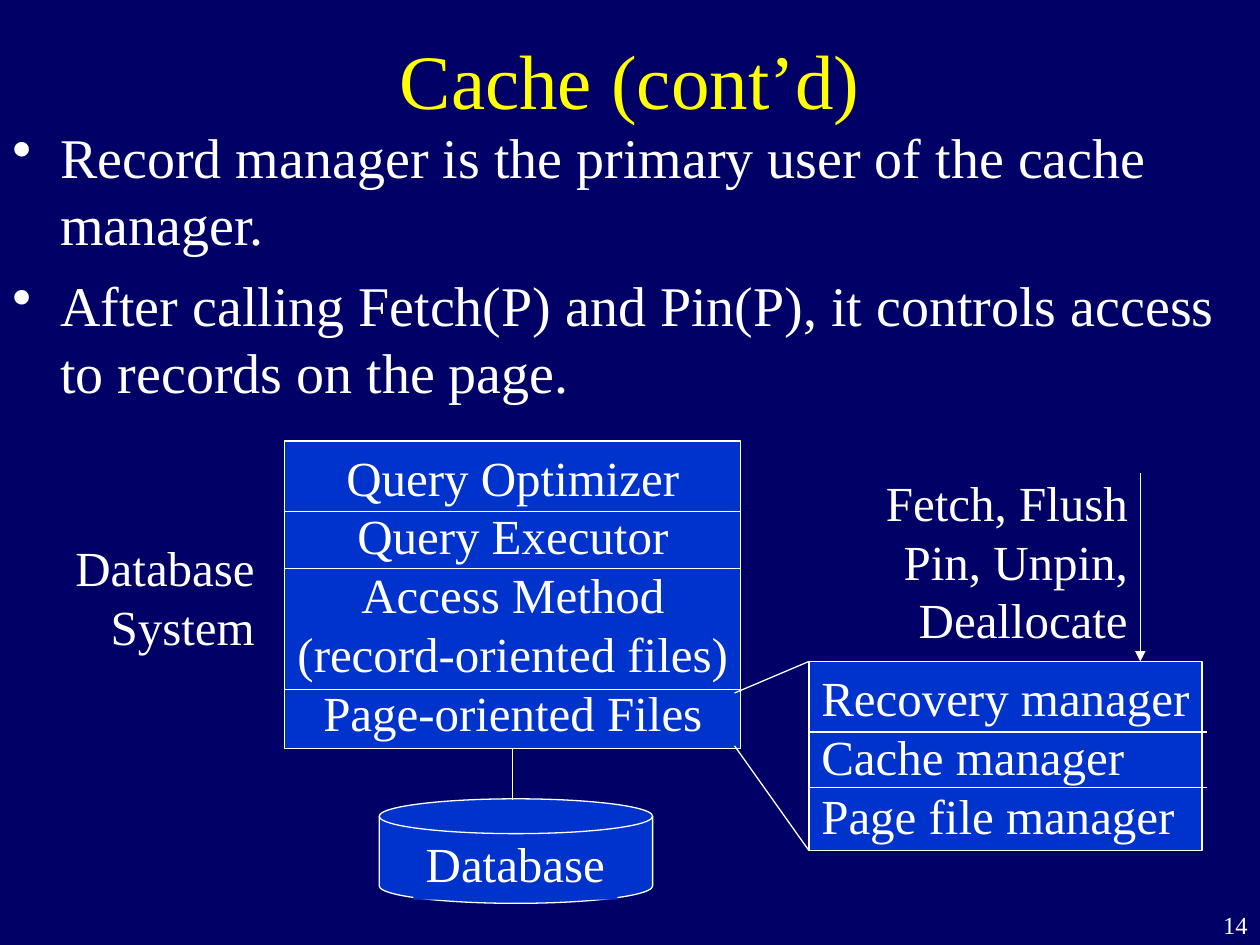
from dataclasses import dataclass

from lxml import etree
from pptx import Presentation
from pptx import util as u
from pptx.dml.color import RGBColor
from pptx.enum import shapes, text
from pptx.oxml.ns import qn

LEFT, MID, RIGHT = text.PP_ALIGN.LEFT, text.PP_ALIGN.CENTER, text.PP_ALIGN.RIGHT
RECT = shapes.MSO_SHAPE.RECTANGLE
DISK = shapes.MSO_SHAPE.FLOWCHART_MAGNETIC_DISK


@dataclass
class Theme:
    back: RGBColor = RGBColor(0x00, 0x00, 0x66)
    box: RGBColor = RGBColor(0x00, 0x33, 0xCC)
    ink: RGBColor = RGBColor(0xFF, 0xFF, 0xFF)
    head: RGBColor = RGBColor(0xFF, 0xFF, 0x00)
    font: str = "Times New Roman"
    title: int = 44
    body: int = 32
    label: int = 28
    small: int = 14
    lead: float = 1.2
    line: float = 0.75


class Deck:
    def __init__(self, theme, slide):
        self.theme, self.slide = theme, slide
        fill = slide.background.fill
        fill.solid()
        fill.fore_color.rgb = theme.back

    def fit(self, shape, lines, size, align, color=None, wrap=False,
            anchor=text.MSO_ANCHOR.TOP, lead=1.0):
        frame = shape.text_frame
        frame.word_wrap = wrap
        frame.vertical_anchor = anchor
        frame.text = "\n".join(lines)
        for para in frame.paragraphs:
            para.alignment = align
            para.line_spacing = u.Pt(size * self.theme.lead * lead)
            para.font.size = u.Pt(size)
            para.font.name = self.theme.font
            para.font.color.rgb = color or self.theme.ink
        return frame

    def label(self, at, lines, size, align, **style):
        shape = self.slide.shapes.add_textbox(*map(u.Inches, at))
        return self.fit(shape, lines, size, align, **style)

    def bullets(self, at, lines):
        frame = self.label(at, lines, self.theme.body, LEFT, wrap=True)
        for para in frame.paragraphs:
            para.space_before = u.Pt(8)
            props = para._p.get_or_add_pPr()
            props.set("marL", str(u.Inches(0.38)))
            props.set("indent", str(u.Inches(-0.38)))
            mark = etree.Element(qn("a:buChar"), char="•")
            # Bullets must come before the default run properties
            rest = props.find(qn("a:defRPr"))
            if rest is None:
                props.append(mark)
            else:
                rest.addprevious(mark)

    def box(self, kind, at, lines=(), align=LEFT, edge=True, **style):
        shape = self.slide.shapes.add_shape(kind, *map(u.Inches, at))
        shape.shadow.inherit = False
        shape.fill.solid()
        shape.fill.fore_color.rgb = self.theme.box
        if edge:
            shape.line.color.rgb = self.theme.ink
            shape.line.width = u.Pt(self.theme.line)
        else:
            shape.line.fill.background()
        if lines:
            self.fit(shape, lines, self.theme.label, align, **style)
        return shape

    def line(self, *ends, arrow=False):
        link = self.slide.shapes.add_connector(
            shapes.MSO_CONNECTOR.STRAIGHT, *map(u.Inches, ends))
        link.line.color.rgb = self.theme.ink
        link.line.width = u.Pt(self.theme.line)
        props = link._element.spPr
        if arrow:
            etree.SubElement(props.find(qn("a:ln")), qn("a:tailEnd"), type="triangle")
        etree.SubElement(props, qn("a:effectLst"))
        return link


def main():
    show = Presentation()
    show.slide_width, show.slide_height = u.Inches(10), u.Inches(7.5)
    theme = Theme()
    deck = Deck(theme, show.slides.add_slide(show.slide_layouts[6]))

    # Title and bullets
    deck.label((0.75, 0.25, 8.5, 0.75), ["Cache (cont’d)"], theme.title, MID,
               color=theme.head, wrap=True, anchor=text.MSO_ANCHOR.MIDDLE)
    deck.bullets((0, 0.92, 10, 2.42), [
        "Record manager is the primary user of the cache manager.",
        "After calling Fetch(P) and Pin(P), it controls access to records on the page.",
    ])

    # Database system layers
    deck.label((0.5, 4.22, 1.62, 1.04), ["Database", "System"], theme.label, RIGHT)
    stack = deck.box(RECT, (2.26, 3.5, 3.62, 2.44), [
        "Query Optimizer", "Query Executor", "Access Method",
        "(record-oriented files)", "Page-oriented Files"], MID)
    for y in (4.06, 4.51, 5.47):
        deck.line(2.25, y, 5.88, y)

    # Database disk below the layers
    deck.box(DISK, (3.01, 6.34, 2.17, 0.83))
    deck.box(RECT, (3.28, 6.66, 1.62, 0.48), ["Database"], edge=False,
             wrap=True, lead=0.8)
    deck.line(4.07, 5.94, 4.07, 6.35).begin_connect(stack, 2)

    # Page-oriented files in detail
    deck.box(RECT, (6.42, 5.25, 3.12, 1.5),
             ["Recovery manager", "Cache manager", "Page file manager"])
    for start, end in ((5.5, 5.25), (5.92, 6.75)):
        deck.line(5.83, start, 6.42, end)
    for y in (5.81, 6.25):
        deck.line(6.42, y, 9.58, y)

    # Calls into the managers
    deck.label((6.93, 3.7, 2.12, 1.5), ["Fetch, Flush", "Pin, Unpin,", "Deallocate"],
               theme.label, RIGHT)
    deck.line(9.05, 3.75, 9.05, 5.25, arrow=True)

    # Slide number
    deck.label((9.08, 7.17, 0.92, 0.33), ["14"], theme.small, RIGHT, wrap=True)

    show.save("out.pptx")


if __name__ == "__main__":
    main()
